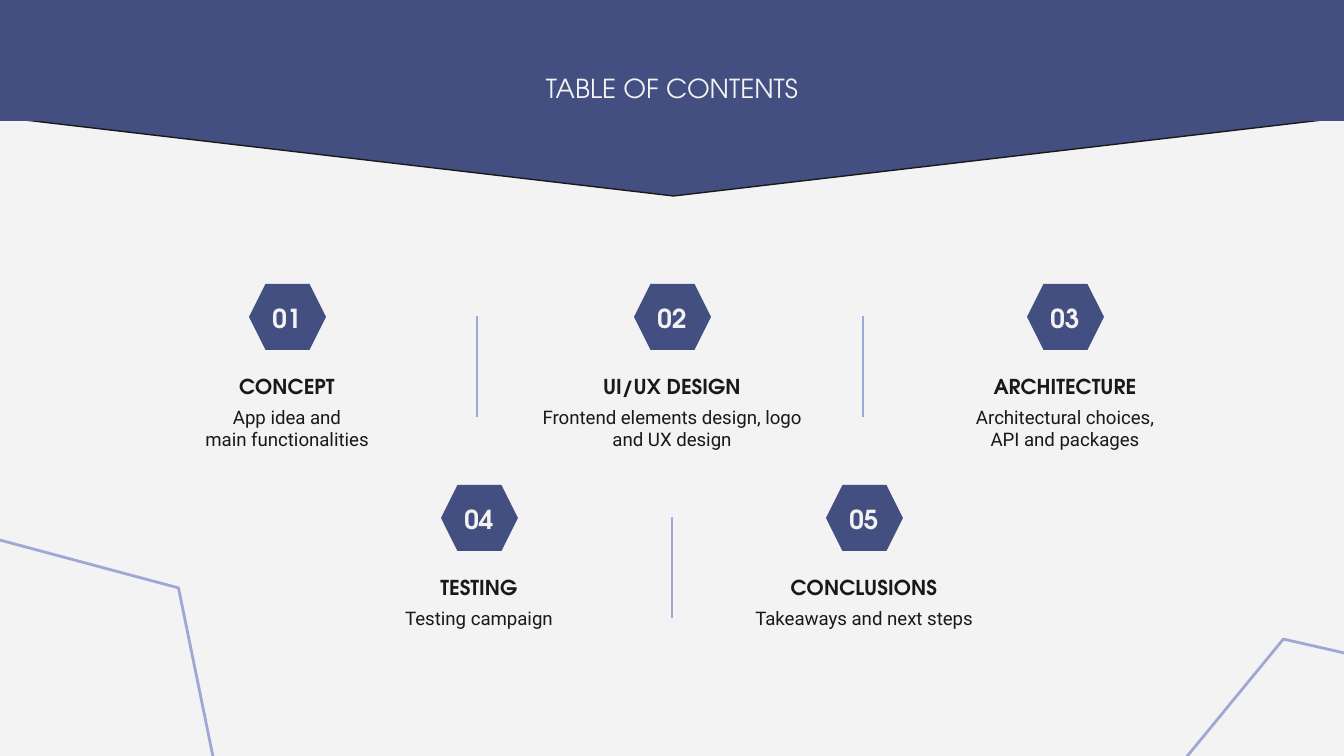
import pptx
import pptx.util
import pptx.dml.color
import pptx.enum.shapes
import pptx.enum.text
import pptx.oxml

RGB = pptx.dml.color.RGBColor
SHAPE = pptx.enum.shapes.MSO_SHAPE
ANCHOR = pptx.enum.text.MSO_ANCHOR

NAVY = RGB(0x43, 0x4F, 0x80)
LILAC = RGB(0x9F, 0xA8, 0xD4)
INK = RGB(0x19, 0x19, 0x19)
PALE = RGB(0xF3, 0xF3, 0xF3)
HEAD_FONT = "TeX Gyre Adventor"
BODY_FONT = "Roboto"

WIDTH, HEIGHT = 1344, 756
PX = 9144000 / WIDTH

TITLE = "TABLE OF CONTENTS"
ROWS = [
    {
        "top": 284,
        "dividers": [477, 863],
        "topics": [
            (287, "CONCEPT", ["App idea and", "main functionalities"]),
            (672, "UI/UX DESIGN", ["Frontend elements design, logo and UX design"]),
            (1065, "ARCHITECTURE", ["Architectural choices,", "API and packages"]),
        ],
    },
    {
        "top": 485,
        "dividers": [672],
        "topics": [
            (479, "TESTING", ["Testing campaign"]),
            (864, "CONCLUSIONS", ["Takeaways and next steps"]),
        ],
    },
]
CORNER_HEXAGONS = [(-210, 548, 15), (1114, 679, 309.4)]


def px(*values):
    return [round(v * PX) for v in values]


def add_shape(s, kind, box, fill=None, line=None, width=1.5, rotation=0):
    sp = s.shapes.add_shape(kind, *px(*box))
    sp.shadow.inherit = False
    sp.rotation = rotation
    if fill is None:
        sp.fill.background()
    else:
        sp.fill.solid()
        sp.fill.fore_color.rgb = fill
    if line is None:
        sp.line.fill.background()
    else:
        sp.line.color.rgb = line
        sp.line.width = pptx.util.Pt(width)
    return sp


def add_divider(s, x, top, length):
    sp = s.shapes.add_connector(
        pptx.enum.shapes.MSO_CONNECTOR.STRAIGHT, *px(x, top, x, top + length))
    sp.line.color.rgb = LILAC
    sp.line.width = pptx.util.Pt(1.5)
    sp._element.spPr.append(pptx.oxml.parse_xml(
        '<a:effectLst xmlns:a="http://schemas.openxmlformats.org/drawingml/2006/main"/>'))


def write(sp, lines, size, font=HEAD_FONT, color=INK, bold=False, anchor=ANCHOR.TOP):
    tf = sp.text_frame
    tf.word_wrap = True
    tf.auto_size = pptx.enum.text.MSO_AUTO_SIZE.NONE
    tf.vertical_anchor = anchor
    inset = pptx.util.Inches(0.1)
    tf.margin_left = tf.margin_right = tf.margin_top = tf.margin_bottom = inset
    for i, line in enumerate(lines):
        p = tf.paragraphs[0] if i == 0 else tf.add_paragraph()
        p.alignment = pptx.enum.text.PP_ALIGN.CENTER
        p.line_spacing = 1.0
        p.space_before = pptx.util.Pt(0)
        r = p.add_run()
        r.text = line
        r.font.size = pptx.util.Pt(size)
        r.font.name = font
        r.font.bold = bold
        r.font.color.rgb = color


def add_text(s, center, top, width, height, lines, **style):
    sp = s.shapes.add_textbox(*px(center - width / 2, top, width, height))
    write(sp, lines, **style)


def add_topic(s, number, center, top, heading, details):
    add_shape(s, SHAPE.HEXAGON, (center - 38, top, 77, 66), fill=NAVY)
    add_text(s, center, top + 12, 110, 44, [f"{number:02d}"],
             size=14, color=PALE, bold=True, anchor=ANCHOR.MIDDLE)
    add_text(s, center, top + 60, 235, 85, [heading],
             size=11, bold=True, anchor=ANCHOR.MIDDLE)
    add_text(s, center, top + 108, 289, 85, details, size=10, font=BODY_FONT)


def main():
    prs = pptx.Presentation()
    prs.slide_width, prs.slide_height = px(WIDTH, HEIGHT)
    s = prs.slides.add_slide(prs.slide_layouts[5])
    s.background.fill.solid()
    s.background.fill.fore_color.rgb = PALE

    add_shape(s, SHAPE.ISOSCELES_TRIANGLE, (-1, 117, 1349, 79),
              fill=NAVY, line=INK, width=0.75, rotation=180)
    add_shape(s, SHAPE.RECTANGLE, (-1, -5, 1349, 126), fill=NAVY)

    title = s.shapes.title
    title.left, title.top, title.width, title.height = px(453, 59, 438, 101)
    write(title, [TITLE], size=14, color=PALE)
    s.shapes._spTree.append(title._element)

    number = 0
    for row in ROWS:
        for x in row["dividers"]:
            add_divider(s, x, row["top"] + 32, 101)
        for center, heading, details in row["topics"]:
            number += 1
            add_topic(s, number, center, row["top"], heading, details)

    for left, top, rotation in CORNER_HEXAGONS:
        add_shape(s, SHAPE.HEXAGON, (left, top, 434, 340), line=LILAC, rotation=rotation)

    prs.save("out.pptx")


if __name__ == "__main__":
    main()
